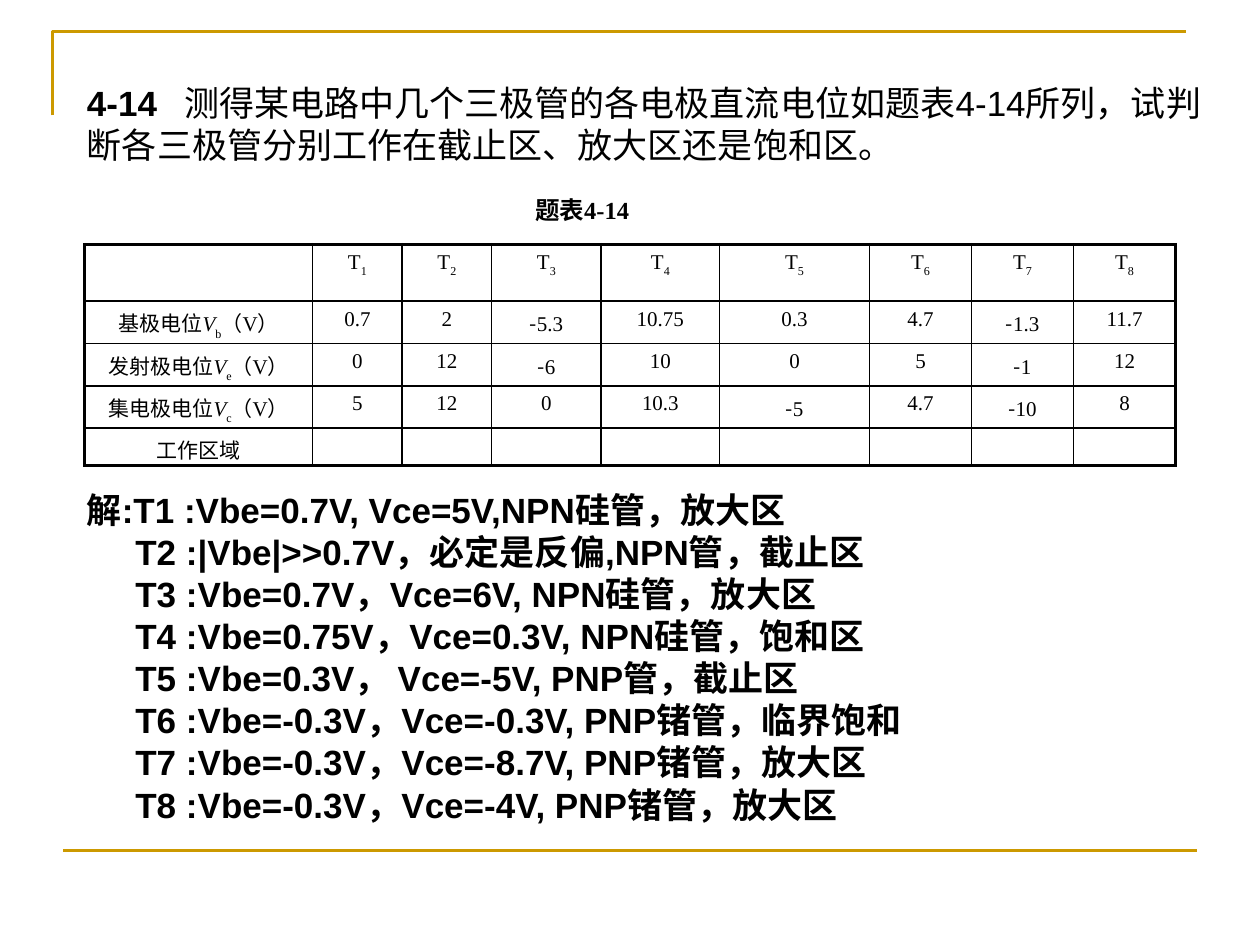
from pptx import Presentation
from pptx.util import Pt
from pptx.dml.color import RGBColor
from pptx.enum.shapes import MSO_CONNECTOR
from pptx.enum.text import MSO_ANCHOR, PP_ALIGN
from pptx.oxml.ns import qn
from lxml import etree

COLORS = {"text": "000000", "rule": "CC9900", "border": "000000"}
SANS, SERIF, CJK = "Arial", "Times New Roman", "Noto Sans CJK SC"


def rgb(name):
    return RGBColor.from_string(COLORS[name])


def add_run(paragraph, text, size, font, bold=False, italic=False, subscript=False):
    run = paragraph.add_run()
    run.text = text
    run.font.size, run.font.name = Pt(size), font
    run.font.bold, run.font.italic = bold, italic
    run.font.color.rgb = rgb("text")
    props = run.font._element
    etree.SubElement(props, qn("a:ea")).set("typeface", CJK)
    if subscript:
        props.set("baseline", "-30000")


def place(shape, left, top, width, height):
    shape.left, shape.top = Pt(left), Pt(top)
    shape.width, shape.height = Pt(width), Pt(height)


def add_rules(slide, left, top, width, height):
    """Corner rule at the top left and a straight rule along the bottom."""
    length = 648
    builder = slide.shapes.build_freeform(Pt(left), Pt(top + 48))
    builder.add_line_segments(
        [(Pt(left), Pt(top)), (Pt(left + length), Pt(top))], close=False)
    corner = builder.convert_to_shape()
    corner.fill.background()
    corner.shadow.inherit = False
    right, bottom = Pt(left + width), Pt(top + height)
    base = slide.shapes.add_connector(
        MSO_CONNECTOR.STRAIGHT, right - Pt(length), bottom, right, bottom)
    etree.SubElement(base._element.spPr, qn("a:effectLst"))
    for shape in (corner, base):
        shape.line.color.rgb = rgb("rule")
        shape.line.width = Pt(1.5)


def add_question(slide, left, top, width, height):
    title = slide.shapes.title
    place(title, left, top, width, height)
    frame = title.text_frame
    frame.word_wrap = True
    frame.vertical_anchor = MSO_ANCHOR.TOP
    paragraph = frame.paragraphs[0]
    paragraph.alignment = PP_ALIGN.LEFT
    add_run(paragraph, "4-14\t", 20, SANS, bold=True)
    add_run(paragraph, "测得某电路中几个三极管的各电极直流电位如题表4-14所列，试"
                       "判断各三极管分别工作在截止区、放大区还是饱和区。", 20, SANS)
    # Tab stop between number and question
    tabs = etree.SubElement(paragraph._p.get_or_add_pPr(), qn("a:tabLst"))
    etree.SubElement(tabs, qn("a:tab"), pos=str(Pt(55.5)), algn="l")


def add_caption(slide, left, top, width, height):
    frame = slide.shapes.add_textbox(
        Pt(left), Pt(top), Pt(width), Pt(height)).text_frame
    frame.word_wrap = False
    frame.vertical_anchor = MSO_ANCHOR.MIDDLE
    frame.paragraphs[0].alignment = PP_ALIGN.CENTER
    add_run(frame.paragraphs[0], "题表4-14", 14, SERIF, bold=True)


def set_borders(cell, widths):
    props = cell._tc.get_or_add_tcPr()
    for side in "LRTB":
        line = etree.SubElement(props, qn(f"a:ln{side}"), w=str(Pt(widths[side])))
        fill = etree.SubElement(line, qn("a:solidFill"))
        etree.SubElement(fill, qn("a:srgbClr"), val=COLORS["border"])
    cell.fill.background()


def fill_cell(cell, value):
    """A value is plain text or a (label, symbol, subscript, unit) tuple."""
    paragraph = cell.text_frame.paragraphs[0]
    paragraph.alignment = PP_ALIGN.CENTER
    if isinstance(value, tuple):
        label, symbol, sub, unit = value
        parts = [(label, {}), (symbol, {"italic": bool(label)}),
                 (sub, {"subscript": True}), (unit, {})]
    else:
        parts = [(value, {})]
    for text, style in parts:
        if text.startswith("-"):
            add_run(paragraph, "-", 12, CJK)
            text = text[1:]
        if text:
            add_run(paragraph, text, 12, SERIF, **style)
    if not value:
        etree.SubElement(paragraph._p, qn("a:endParaRPr"), sz="1200")


def add_potentials(slide, left, top, width, height):
    rows = [[""] + [("", "T", str(n), "") for n in range(1, 9)]]
    for label, sub, values in [
            ("基极电位", "b", "0.7 2 -5.3 10.75 0.3 4.7 -1.3 11.7"),
            ("发射极电位", "e", "0 12 -6 10 0 5 -1 12"),
            ("集电极电位", "c", "5 12 0 10.3 -5 4.7 -10 8")]:
        rows.append([(label, "V", sub, "（V）")] + values.split())
    rows.append(["工作区域"] + [""] * 8)

    weights = [1.81, 0.71, 0.71, 0.87, 0.94, 1.19, 0.81, 0.81, 0.81]
    last_row, last_col = len(rows) - 1, len(weights) - 1
    table = slide.shapes.add_table(len(rows), len(weights), Pt(left), Pt(top),
                                   Pt(width), Pt(height)).table
    table.first_row = table.horz_banding = False
    for column, weight in zip(table.columns, weights):
        column.width = Pt(round(width * weight / sum(weights), 2))
    for r, values in enumerate(rows):
        table.rows[r].height = Pt(18 if r else 32.4)
        for c, value in enumerate(values):
            cell = table.cell(r, c)
            fill_cell(cell, value)
            # Thick outer frame, thin inner grid
            set_borders(cell, {"L": 1 if c else 2, "R": 2 if c == last_col else 1,
                               "T": 1 if r else 2, "B": 2 if r == last_row else 1})


def add_solution(slide, left, top, width, height):
    lines = ["解:T1 :Vbe=0.7V, Vce=5V,NPN硅管，放大区",
             "T2 :|Vbe|>>0.7V，必定是反偏,NPN管，截止区",
             "T3 :Vbe=0.7V，Vce=6V, NPN硅管，放大区",
             "T4 :Vbe=0.75V，Vce=0.3V, NPN硅管，饱和区",
             "T5 :Vbe=0.3V， Vce=-5V, PNP管，截止区",
             "T6 :Vbe=-0.3V，Vce=-0.3V, PNP锗管，临界饱和",
             "T7 :Vbe=-0.3V，Vce=-8.7V, PNP锗管，放大区",
             "T8 :Vbe=-0.3V，Vce=-4V, PNP锗管，放大区"]
    frame = slide.shapes.add_textbox(
        Pt(left), Pt(top), Pt(width), Pt(height)).text_frame
    frame.word_wrap = True
    for i, line in enumerate(lines):
        paragraph = frame.add_paragraph() if i else frame.paragraphs[0]
        add_run(paragraph, line, 20, SANS, bold=True)
        if i:
            paragraph._p.get_or_add_pPr().set("marL", str(Pt(27.8)))


prs = Presentation()
prs.slide_width, prs.slide_height = Pt(720), Pt(540)
slide = prs.slides.add_slide(prs.slide_layouts[5])
add_rules(slide, 30, 18, 654, 468)
add_question(slide, 42.5, 43.2, 652.3, 55.4)
add_caption(slide, 288, 108, 89.3, 24)
add_potentials(slide, 48.4, 139.7, 623.5, 104.4)
add_solution(slide, 42.5, 275.8, 578.2, 201)
prs.save("out.pptx")
